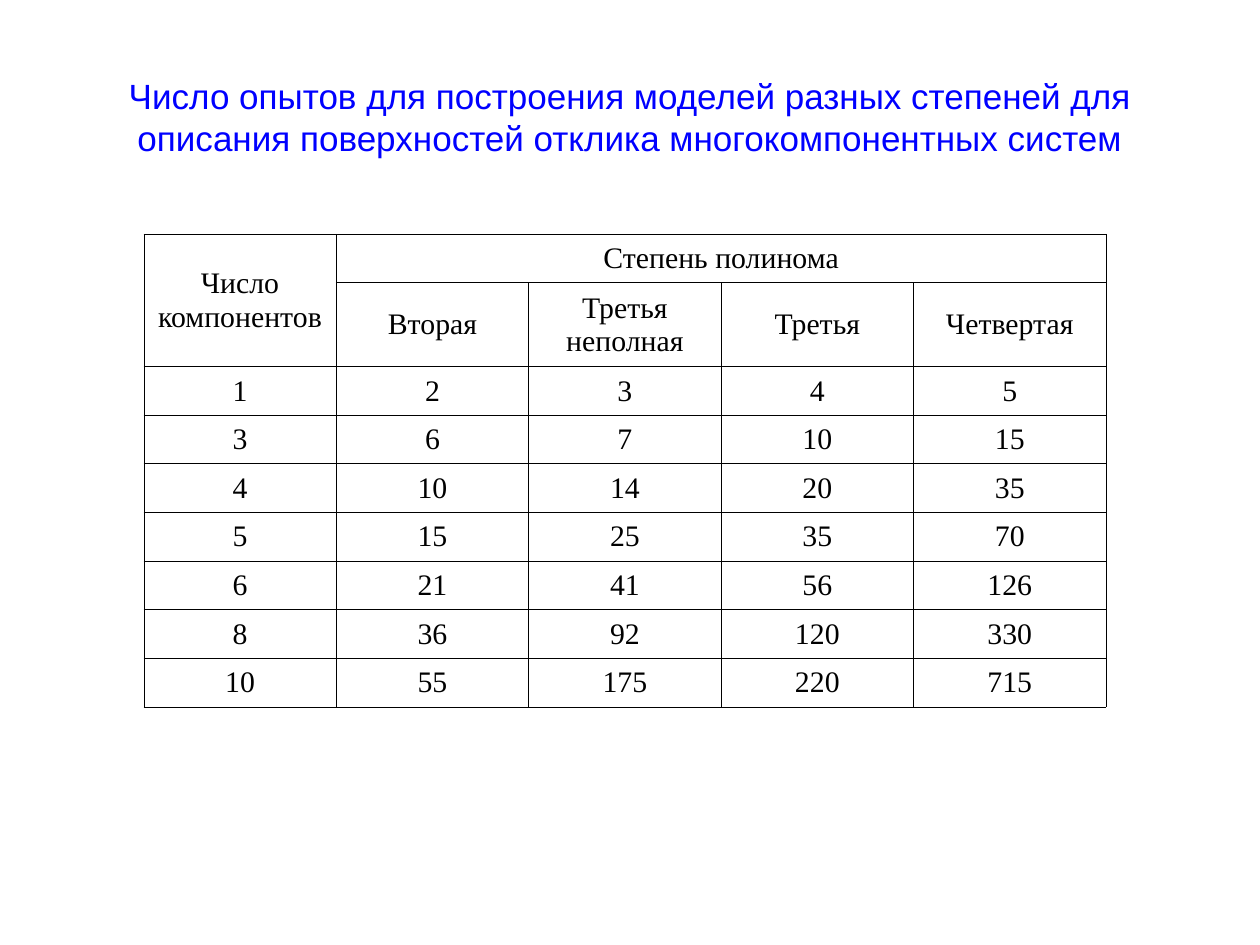
"""Build a slide with a table of run counts for polynomial models."""
from dataclasses import dataclass

from lxml.etree import SubElement
from pptx import Presentation as Deck
from pptx.dml.color import RGBColor as Rgb
from pptx.enum.text import MSO_ANCHOR as Anchor, MSO_AUTO_SIZE as Fit, PP_ALIGN as Align
from pptx.oxml.ns import qn
from pptx.util import Cm, Pt


@dataclass(frozen=True)
class Theme:
    ink: str = "000000"
    blue: str = "0000FF"
    paper: str = "FFFFFF"
    sans: str = "Arial"
    serif: str = "Times New Roman"
    head: int = 20
    body: int = 17
    rule: float = 0.45


THEME = Theme()
TITLE = ("Число опытов для построения моделей разных степеней "
         "для описания поверхностей отклика многокомпонентных систем")
ROWS = [
    ["Число компонентов", "Степень полинома", "", "", ""],
    ["", "Вторая", "Третья неполная", "Третья", "Четвертая"],
    [1, 2, 3, 4, 5],
    [3, 6, 7, 10, 15],
    [4, 10, 14, 20, 35],
    [5, 15, 25, 35, 70],
    [6, 21, 41, 56, 126],
    [8, 36, 92, 120, 330],
    [10, 55, 175, 220, 715],
]


def style(frame, face, size, tint):
    for para in frame.paragraphs:
        para.alignment = Align.CENTER
        for run in para.runs:
            run.font.name = face
            run.font.size = Pt(size)
            run.font.color.rgb = Rgb.from_string(tint)


def add_title(slide, text):
    title = slide.shapes.title
    title.left, title.top = Cm(1.27), Cm(0.76)
    title.width, title.height = Cm(22.86), Cm(3.18)
    frame = title.text_frame
    frame.text = text
    frame.word_wrap = True
    frame.auto_size = Fit.NONE
    frame.vertical_anchor = Anchor.MIDDLE
    style(frame, THEME.sans, THEME.head, THEME.blue)


def add_edges(cell):
    props = cell._tc.get_or_add_tcPr()
    for place, side in enumerate(("lnL", "lnR", "lnT", "lnB")):
        line = SubElement(props, qn(f"a:{side}"), w=str(Pt(THEME.rule)))
        fill = SubElement(line, qn("a:solidFill"))
        SubElement(fill, qn("a:srgbClr"), val=THEME.ink)
        props.insert(place, line)


def fill_cell(cell, text):
    cell.text = str(text)
    cell.vertical_anchor = Anchor.MIDDLE
    cell.fill.solid()
    cell.fill.fore_color.rgb = Rgb.from_string(THEME.paper)
    style(cell.text_frame, THEME.serif, THEME.body, THEME.ink)
    add_edges(cell)


def add_grid(slide, rows):
    frame = slide.shapes.add_table(len(rows), len(rows[0]),
                                   Cm(2.9), Cm(4.72), Cm(19.4), Cm(9.53))
    grid = frame.table
    grid.first_row = grid.horz_banding = False
    for row in grid.rows:
        row.height = Cm(0.98)
    grid.rows[1].height = Cm(1.69)
    for r, row in enumerate(rows):
        for c, text in enumerate(row):
            fill_cell(grid.cell(r, c), text)
    grid.cell(0, 0).merge(grid.cell(1, 0))
    grid.cell(0, 1).merge(grid.cell(0, 4))


def main():
    deck = Deck()
    deck.slide_width, deck.slide_height = Cm(25.4), Cm(19.05)
    slide = deck.slides.add_slide(deck.slide_layouts[5])
    add_title(slide, TITLE)
    add_grid(slide, ROWS)
    deck.save("out.pptx")


if __name__ == "__main__":
    main()
